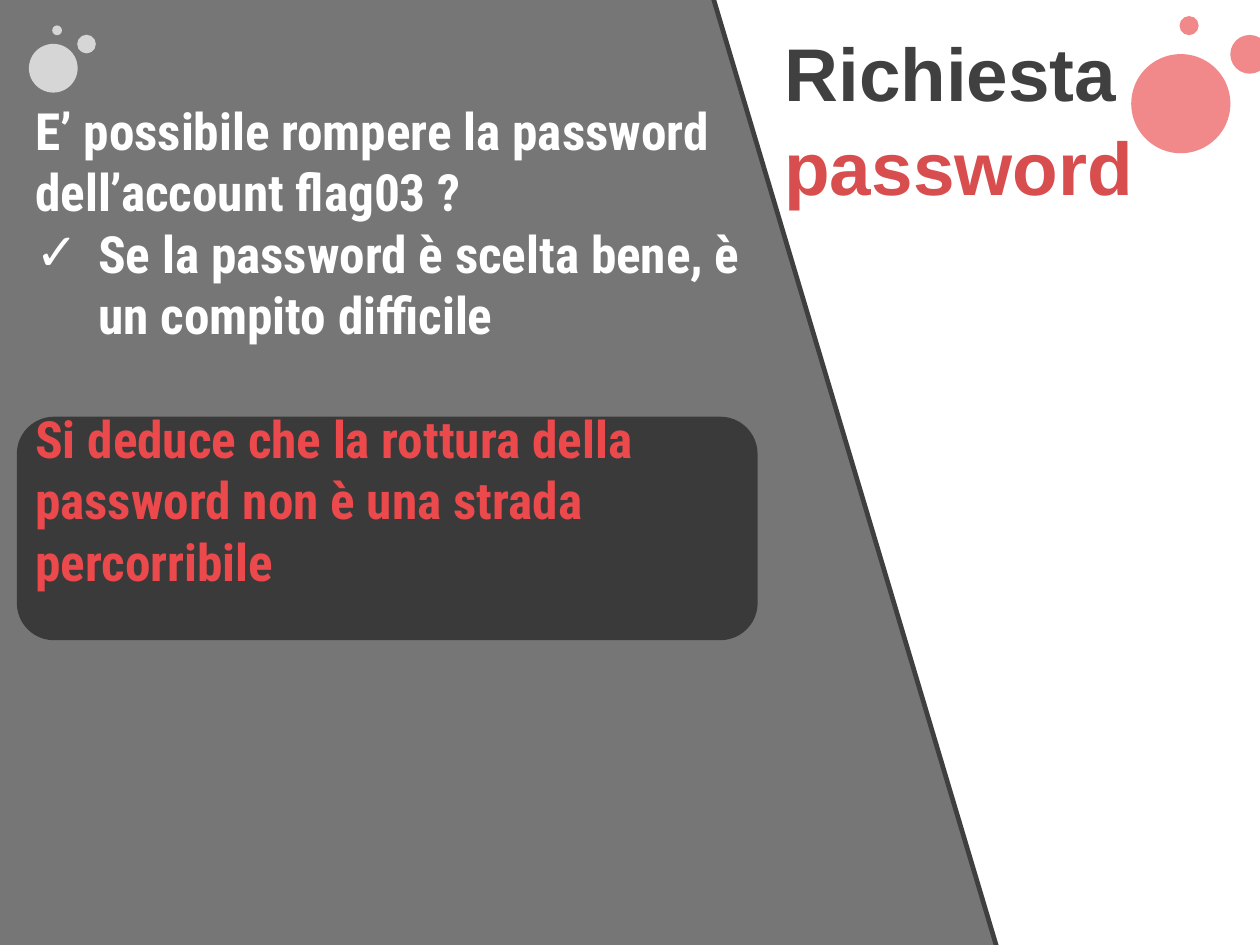
from lxml import etree
from pptx import Presentation
from pptx.dml.color import RGBColor
from pptx.enum import shapes, text
from pptx.oxml import ns
from pptx.util import Pt

COLORS = {
    "white": "FFFFFF",
    "panel": "3C3C3C",
    "edge": "3F3F3F",
    "title": "404040",
    "accent": "D84D4E",
    "red": "EB494B",
    "black": "000000",
}


def paint(shape, color, opacity=100):
    shape.shadow.inherit = False
    shape.line.fill.background()
    shape.fill.solid()
    shape.fill.fore_color.rgb = RGBColor.from_string(COLORS[color])
    if opacity < 100:
        tint = shape.element.spPr.find(".//" + ns.qn("a:srgbClr"))
        etree.SubElement(tint, ns.qn("a:alpha"), val=str(opacity * 1000))


def style(para, font, size, color):
    para.alignment = text.PP_ALIGN.LEFT
    for span in para.runs:
        span.font.name = font
        span.font.size = Pt(size)
        span.font.bold = True
        span.font.color.rgb = RGBColor.from_string(COLORS[color])


deck = Presentation()
deck.slide_width, deck.slide_height = Pt(540), Pt(405)
page = deck.slides.add_slide(deck.slide_layouts[1])
title, body = page.placeholders

panel = page.shapes.add_shape(shapes.MSO_SHAPE.RECTANGLE, 0, 0, Pt(540), Pt(405))
paint(panel, "panel", 70)

bubbles = page.shapes.add_group_shape()
for left, top, size in [(12.4, 18.8, 20.9), (33.1, 14.9, 8), (22.4, 10.9, 4.2)]:
    bubble = bubbles.shapes.add_shape(
        shapes.MSO_SHAPE.OVAL, Pt(left), Pt(top), Pt(size), Pt(size))
    paint(bubble, "white", 70)

outline = page.shapes.build_freeform(Pt(427.7), Pt(407.5))
outline.add_line_segments(
    [(Pt(x), Pt(y)) for x, y in
     [(305.3, -2.2), (545, -4.3), (541.4, 409), (427.7, 407.5)]])
wedge = outline.convert_to_shape()
paint(wedge, "white")
wedge.line.color.rgb = RGBColor.from_string(COLORS["edge"])
wedge.line.width = Pt(2)

bubbles = page.shapes.add_group_shape()
for left, top, size in [(484.8, 23.2, 42.5), (527.3, 15, 16.6), (505.5, 6.9, 8.2)]:
    bubble = bubbles.shapes.add_shape(
        shapes.MSO_SHAPE.OVAL, Pt(left), Pt(top), Pt(size), Pt(size))
    paint(bubble, "red", 65)

answer = page.shapes.add_shape(
    shapes.MSO_SHAPE.ROUNDED_RECTANGLE, Pt(7.2), Pt(178.6), Pt(317.5), Pt(95.8))
paint(answer, "black", 50)

for box, left, top, width, height in [
        (title, 329, 7.5, 173.5, 85), (body, 7.9, 51.1, 316.8, 193.7)]:
    page.shapes.element.append(box.element)
    box.left, box.top, box.width, box.height = Pt(left), Pt(top), Pt(width), Pt(height)
    box.text_frame.word_wrap = True
    box.text_frame.auto_size = text.MSO_AUTO_SIZE.NONE
    box.text_frame.vertical_anchor = text.MSO_ANCHOR.MIDDLE

title.text_frame.text = "Richiesta\npassword"
for para, color in zip(title.text_frame.paragraphs, ["title", "accent"]):
    para.line_spacing = 1.05
    style(para, "Arial", 32, color)

body.text_frame.text = "\n".join([
    "E’ possibile rompere la password dell’account flag03 ?",
    "Se la password è scelta bene, è un compito difficile",
    "Si deduce che la rottura della password non è una strada percorribile",
])
looks = [("white", None, 0), ("white", "✓", 0), ("red", None, 26.4)]
for para, (color, bullet, gap) in zip(body.text_frame.paragraphs, looks):
    props = para._p.get_or_add_pPr()
    indent = Pt(27) if bullet else 0
    props.set("marL", str(indent))
    props.set("indent", str(-indent))
    if bullet:
        etree.SubElement(props, ns.qn("a:buChar"), char=bullet)
    else:
        etree.SubElement(props, ns.qn("a:buNone"))
    para.space_before = Pt(gap)
    style(para, "Roboto Condensed", 22, color)

deck.save("out.pptx")
